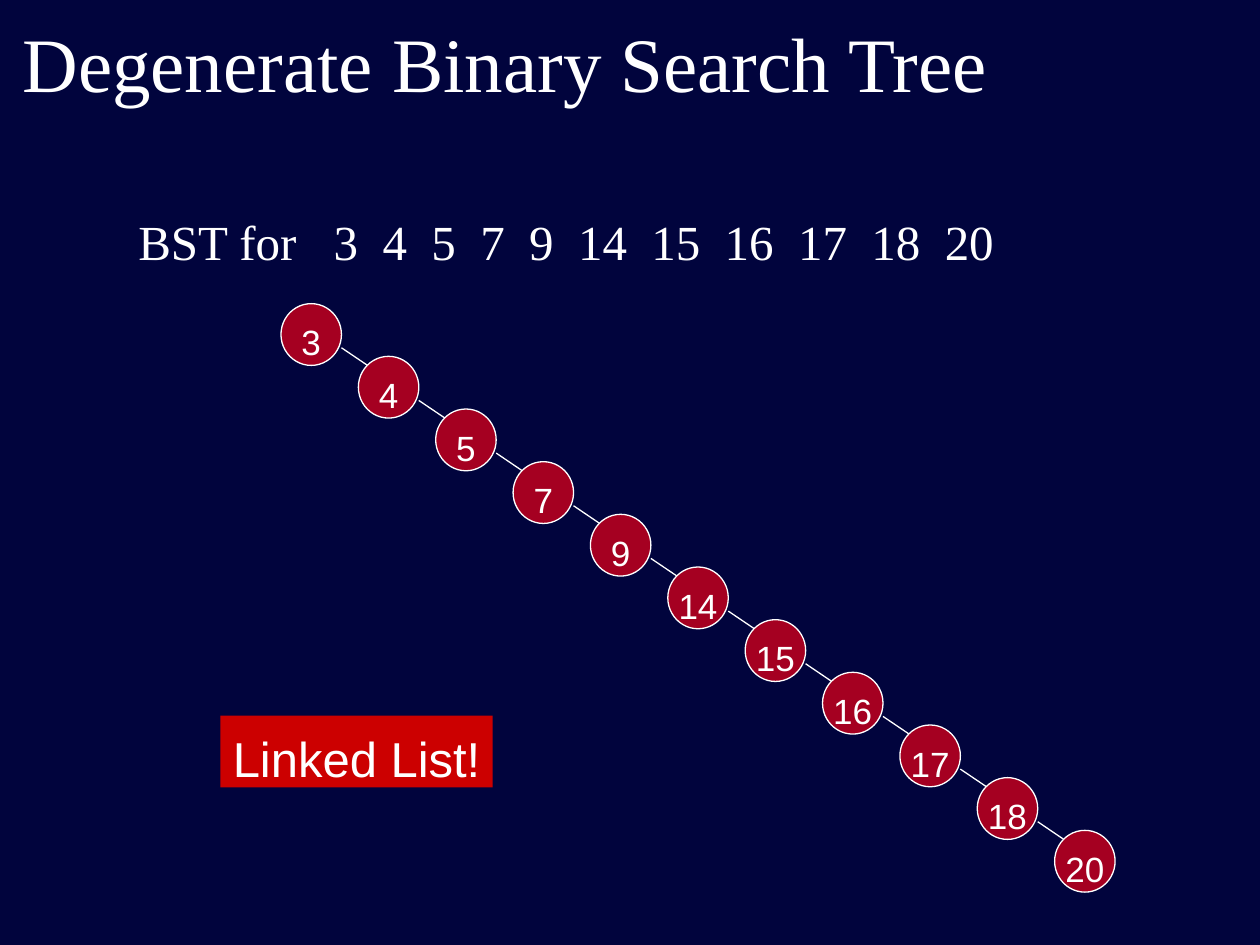
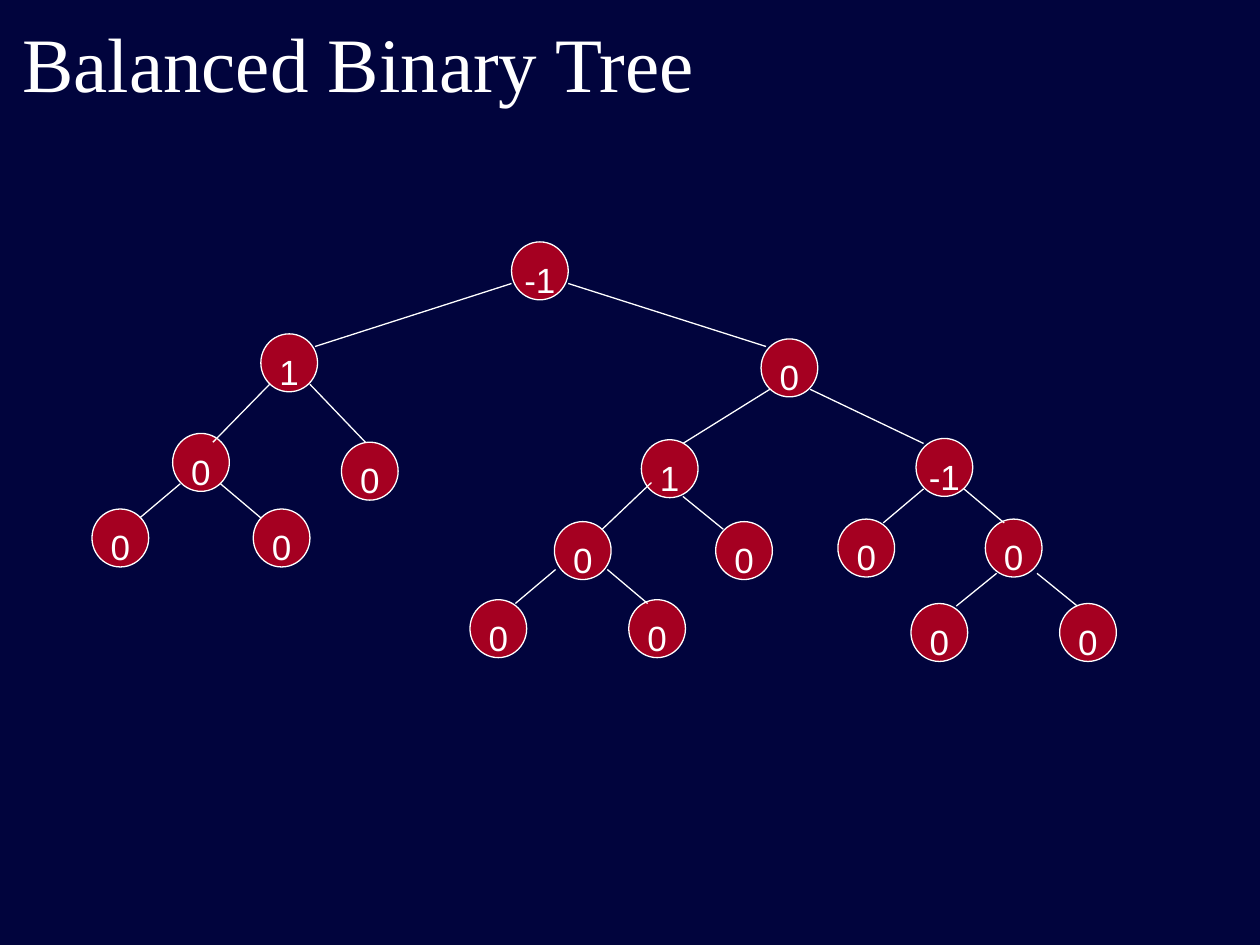
from pptx import Presentation
from pptx import util as u
from pptx.dml.color import RGBColor
from pptx.enum import shapes, text
from pptx.oxml.ns import qn
from lxml import etree

# Grid: 100 columns by 75 rows of square cells
CELL = u.Inches(0.1)
COLUMNS, ROWS = 100, 75

NAVY, CRIMSON, RED, WHITE = "01043D", "A50021", "CC0000", "FFFFFF"
SERIF, SANS = "Times New Roman", "Arial"

# Degenerate tree: one node per key, evenly spaced down a diagonal
KEYS = [3, 4, 5, 7, 9, 14, 15, 16, 17, 18, 20]
CHAIN_START, CHAIN_END = (22.3, 24.1), (83.7, 65.9)
CHAIN_NODE = (4.8, 4.9)
FIRST_KEY_TAB = 15.5
DIGIT_WIDTH = 1.94

# Balanced tree: balance factor, left, top of each node
TREE_NODE = (4.5, 4.6)
TREE_NODES = [
    ("-1", 40.6, 19.2),
    ("1", 20.7, 26.5), ("0", 60.4, 26.9),
    ("0", 13.7, 34.4), ("0", 27.1, 35.1), ("1", 50.9, 34.9), ("-1", 72.7, 34.8),
    ("0", 7.3, 40.4), ("0", 20.1, 40.4), ("0", 44, 41.4), ("0", 56.8, 41.4),
    ("0", 66.5, 41.2), ("0", 78.2, 41.2),
    ("0", 37.3, 47.6), ("0", 49.9, 47.6), ("0", 72.3, 47.9), ("0", 84.1, 47.9),
]
# Links of the balanced tree, from parent to child
TREE_LINKS = [
    (40.6, 22.5, 25, 27.5), (45.1, 22.5, 60.8, 27.5),
    (21.4, 30.5, 16.9, 35.1), (24.6, 30.5, 29, 35.1),
    (61.1, 30.9, 54.2, 35.2), (64.3, 30.9, 73.3, 35.2),
    (14.3, 38.4, 11.1, 41.1), (17.5, 38.4, 20.7, 41.1),
    (51.7, 38.3, 47.8, 42), (54.2, 39.4, 57.4, 42),
    (73.3, 38.8, 70.1, 41.5), (76.5, 38.8, 79.7, 41.5),
    (44.1, 45.2, 40.9, 47.9), (48.2, 45.2, 51.4, 47.9),
    (79.1, 45.5, 75.9, 48.1), (82.3, 45.5, 85.5, 48.1),
]


def color(value):
    return RGBColor.from_string(value)


def cells(*counts):
    return [round(count * CELL) for count in counts]


def write(shape, words, font, size, top_inset, side_inset=1, centered=False, wrap=True):
    frame = shape.text_frame
    frame.word_wrap = wrap
    frame.vertical_anchor = text.MSO_ANCHOR.TOP
    frame.margin_left = frame.margin_right = cells(side_inset)[0]
    frame.margin_top, frame.margin_bottom = cells(top_inset, 0)
    paragraph = frame.paragraphs[0]
    paragraph.text = words
    paragraph.alignment = text.PP_ALIGN.CENTER if centered else text.PP_ALIGN.LEFT
    paragraph.font.name = font
    paragraph.font.size = u.Pt(size)
    paragraph.font.color.rgb = color(WHITE)


def add_text(slide, words, box, size, top_inset):
    shape = slide.shapes.add_textbox(*cells(*box))
    write(shape, words, SERIF, size, top_inset)
    return shape


def add_filled(slide, kind, box, fill):
    shape = slide.shapes.add_shape(kind, *cells(*box))
    shape.shadow.inherit = False
    shape.fill.solid()
    shape.fill.fore_color.rgb = color(fill)
    return shape


def add_node(slide, label, left, top, size):
    node = add_filled(slide, shapes.MSO_SHAPE.OVAL, (left, top, *size), CRIMSON)
    node.line.color.rgb = color(WHITE)
    node.line.width = u.Pt(0.75)
    write(node, label, SANS, 20, 0.65, side_inset=0, centered=True, wrap=False)


def add_link(slide, *ends):
    link = slide.shapes.add_connector(shapes.MSO_CONNECTOR.STRAIGHT, *cells(*ends))
    link.line.color.rgb = color(WHITE)
    link.line.width = u.Pt(0.75)
    etree.SubElement(link._element.spPr, qn("a:effectLst"))


def add_banner(slide, words, box):
    banner = add_filled(slide, shapes.MSO_SHAPE.RECTANGLE, box, RED)
    banner.line.fill.background()
    write(banner, words, SANS, 28, 1, centered=True, wrap=False)


def add_key_list(slide):
    labels = [str(key) for key in KEYS]
    shape = add_text(slide, "\t".join(["BST for", *labels]), (10, 15.8, 90, 7.5), 28, 1)
    # One tab stop per key, each a digit's width after the key before
    properties = shape.text_frame.paragraphs[0]._p.get_or_add_pPr()
    tabs = etree.Element(qn("a:tabLst"))
    properties.find(qn("a:defRPr")).addprevious(tabs)
    position = FIRST_KEY_TAB
    for label in labels:
        etree.SubElement(tabs, qn("a:tab"), pos=str(cells(position)[0]), algn="l")
        position += DIGIT_WIDTH * (len(label) + 2 - 1 * (len(label) > 0))


def add_slide(presentation, title):
    slide = presentation.slides.add_slide(presentation.slide_layouts[6])
    add_text(slide, title, (0.8, -0.8, 90, 10), 44, 2)
    return slide


def build_degenerate_tree(presentation):
    slide = add_slide(presentation, "Degenerate Binary Search Tree")
    add_key_list(slide)
    step_x, step_y = [(end - start) / (len(KEYS) - 1)
                      for start, end in zip(CHAIN_START, CHAIN_END)]
    corners = [(CHAIN_START[0] + i * step_x, CHAIN_START[1] + i * step_y)
               for i in range(len(KEYS))]
    for key, corner in zip(KEYS, corners):
        add_node(slide, str(key), *corner, CHAIN_NODE)
    for (left, top), (next_left, next_top) in zip(corners, corners[1:]):
        add_link(slide, left + CHAIN_NODE[0], top + 3.5, next_left + 0.7, next_top + 0.7)
    add_banner(slide, "Linked List!", (17.5, 56.8, 21.6, 5.7))


def build_balanced_tree(presentation):
    slide = add_slide(presentation, "Balanced Binary Tree")
    for label, left, top in TREE_NODES:
        add_node(slide, label, left, top, TREE_NODE)
    for ends in TREE_LINKS:
        add_link(slide, *ends)


def main():
    presentation = Presentation()
    presentation.slide_width, presentation.slide_height = cells(COLUMNS, ROWS)
    # Shared background
    background = presentation.slide_master.background.fill
    background.solid()
    background.fore_color.rgb = color(NAVY)
    build_degenerate_tree(presentation)
    build_balanced_tree(presentation)
    presentation.save("out.pptx")


if __name__ == "__main__":
    main()
